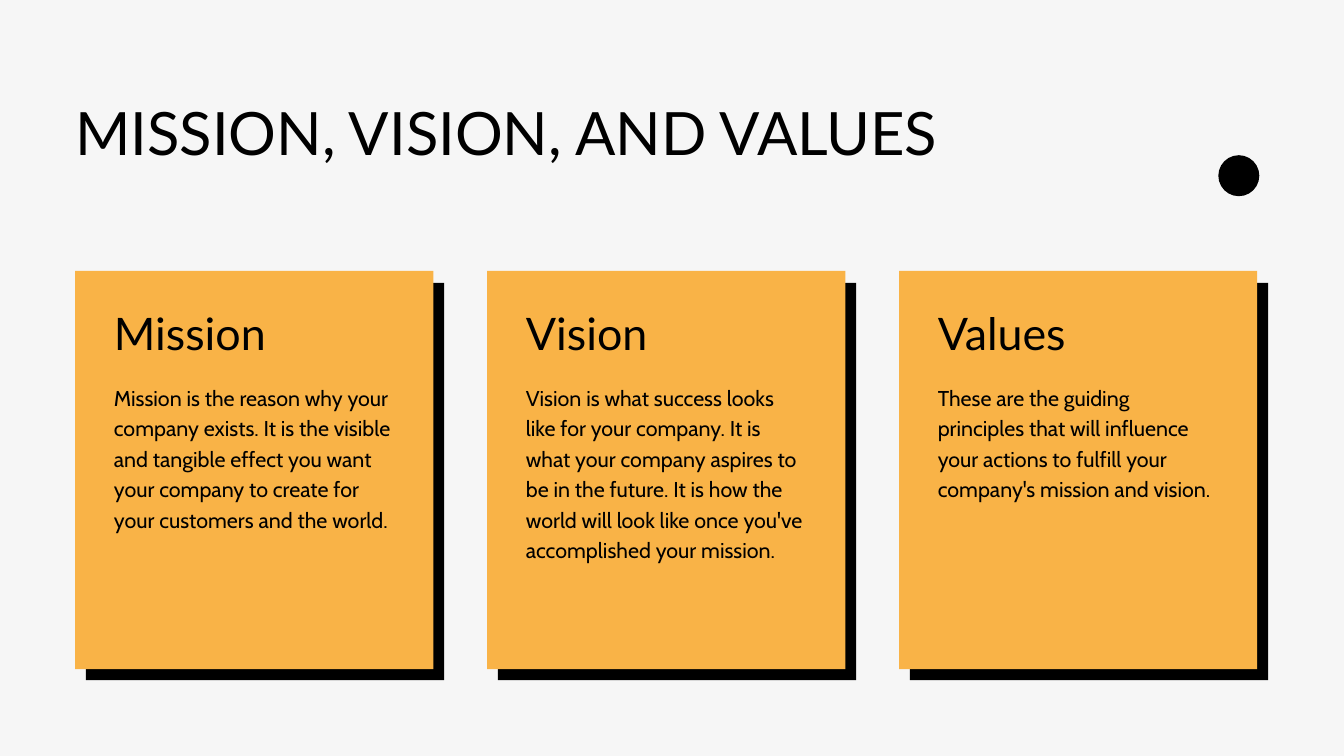
from pptx import Presentation
from pptx.dml.color import RGBColor as Rgb
from pptx.enum.shapes import MSO_SHAPE as Kind
from pptx.enum.text import MSO_AUTO_SIZE as Fit
from pptx.util import Inches, Pt

HUES = {"paper": "F6F6F6", "ink": "000000", "gold": "F9B347"}
FACES = {
    "title": ("Lato", 64, 80.6),
    "head": ("Lato", 48, 60.5),
    "body": ("Cabin", 23, 32.6),
}
CARDS = [
    ("Mission", 10.68,
     "Mission is the reason why your company exists. It is the visible and "
     "tangible effect you want your company to create for your customers "
     "and the world."),
    ("Vision", 12.48,
     "Vision is what success looks like for your company. It is what your "
     "company aspires to be in the future. It is how the world will look "
     "like once you've accomplished your mission."),
    ("Values", 8.88,
     "These are the guiding principles that will influence your actions to "
     "fulfill your company's mission and vision."),
]
LEFT, STEP = 4.48, 24.52


class Board:
    """Draws styled elements on a slide with a grid of 80 columns by 45 rows."""

    def __init__(self, deck):
        self.cell = deck.slide_width / 80
        self.slide = deck.slides.add_slide(deck.slide_layouts[6])
        fill = self.slide.background.fill
        fill.solid()
        fill.fore_color.rgb = self.hue("paper")

    def hue(self, name):
        return Rgb.from_string(HUES[name])

    def box(self, *cells):
        return [round(n * self.cell) for n in cells]

    def shape(self, kind, hue, col, row, wide, high):
        item = self.slide.shapes.add_shape(kind, *self.box(col, row, wide, high))
        item.shadow.inherit = False
        item.fill.solid()
        item.fill.fore_color.rgb = self.hue(hue)
        item.line.fill.background()

    def text(self, words, face, col, row, wide, high):
        item = self.slide.shapes.add_textbox(*self.box(col, row, wide, high))
        frame = item.text_frame
        frame.text = words
        frame.word_wrap = True
        frame.auto_size = Fit.SHAPE_TO_FIT_TEXT
        frame.margin_left = frame.margin_right = 0
        frame.margin_top = frame.margin_bottom = 0
        name, size, lead = FACES[face]
        para = frame.paragraphs[0]
        para.line_spacing = Pt(lead)
        font = para.runs[0].font
        font.name, font.size = name, Pt(size)
        font.color.rgb = self.hue("ink")

    def card(self, col, head, body, high):
        self.shape(Kind.RECTANGLE, "ink", col + 0.64, 16.84, 21.32, 23.64)
        self.shape(Kind.RECTANGLE, "gold", col, 16.12, 21.32, 23.72)
        self.text(head, "head", col + 2.3, 18.04, 16.76, 3.28)
        self.text(body, "body", col + 2.3, 22.64, 16.76, high)


def main():
    deck = Presentation()
    deck.slide_width, deck.slide_height = Inches(20), Inches(11.25)
    board = Board(deck)
    board.text("MISSION, VISION, AND VALUES", "title", LEFT, 5.52, 58.24, 4.44)
    for spot, (head, high, body) in enumerate(CARDS):
        board.card(LEFT + spot * STEP, head, body, high)
    board.shape(Kind.OVAL, "ink", 72.52, 9.24, 2.44, 2.44)
    deck.save("out.pptx")


if __name__ == "__main__":
    main()
